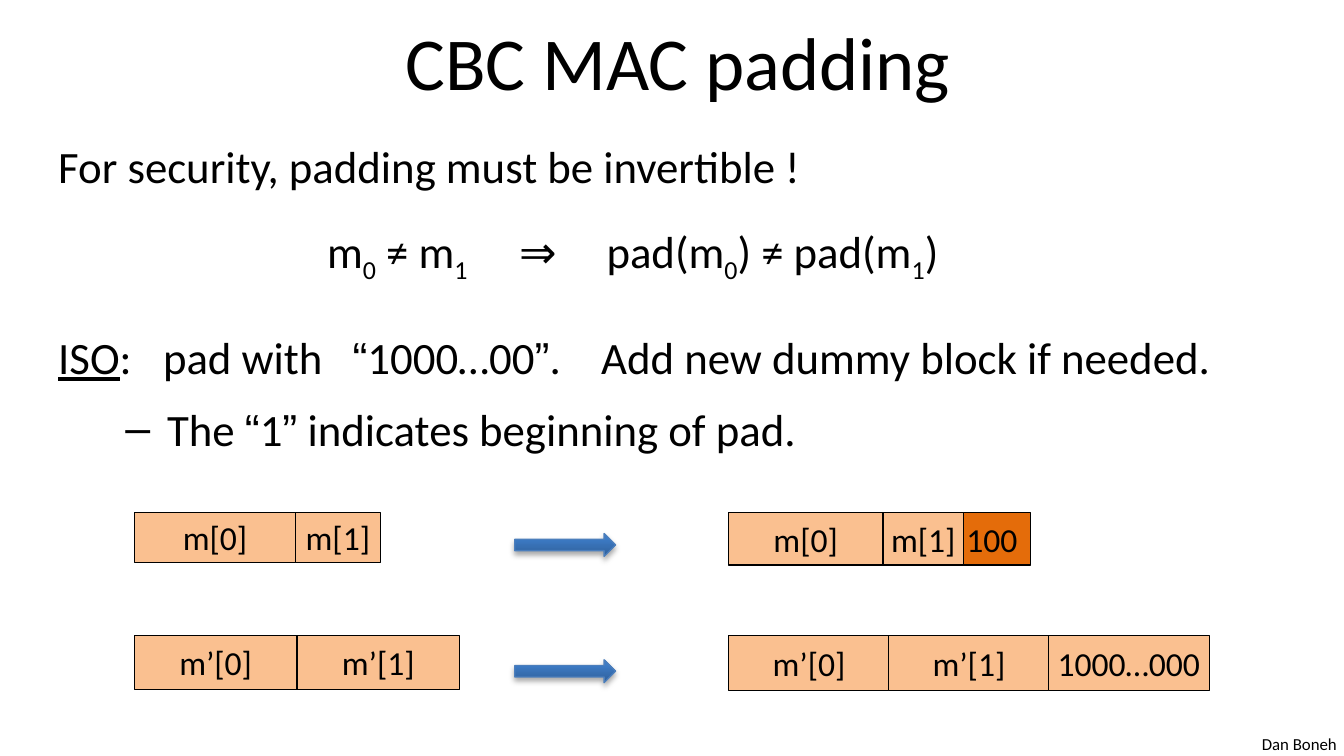
from lxml.etree import SubElement as Sub
from pptx import Presentation
from pptx.dml.color import RGBColor as Rgb
from pptx.enum.shapes import MSO_SHAPE as Form
from pptx.enum.text import MSO_ANCHOR as Anchor, MSO_AUTO_SIZE as Fit, PP_ALIGN as Align
from pptx.oxml.ns import qn
from pptx.util import Inches, Pt

UNIT = 0.1
INK = {"text": "000000", "block": "FAC090", "pad": "E46C0A",
       "low": "2F5F99", "high": "3D7CC7", "edge": "4B7EBC"}


def grid(*cells):
    """Turn columns and rows of the slide grid into lengths."""
    return [Inches(round(n * UNIT, 3)) for n in cells]


def tint(name):
    """Look up a colour by its role."""
    return Rgb.from_string(INK[name])


def write(par, text, size, face="Calibri", base=0, line=None):
    """Add one formatted run to a paragraph."""
    run = par.add_run()
    run.text = text
    font = run.font
    font.size, font.name, font.underline = Pt(size), face, line
    font.color.rgb = tint("text")
    if base:
        run._r.get_or_add_rPr().set("baseline", str(base * 1000))


def quote(par, text):
    """Add text in curly quotes, with the marks in Arial."""
    for part, face in (("“", "Arial"), (text, "Calibri"), ("”", "Arial")):
        write(par, part, 24, face)


def set_tabs(par, stops):
    """Set left tab stops, given in grid columns."""
    tabs = Sub(par._p.get_or_add_pPr(), qn("a:tabLst"))
    for stop in grid(*stops):
        Sub(tabs, qn("a:tab"), pos=str(int(stop)), algn="l")


def add_title(slide, area):
    """Place and format the title."""
    title = slide.shapes.title
    title.left, title.top, title.width, title.height = grid(*area)
    frame = title.text_frame
    frame.auto_size, frame.vertical_anchor = Fit.NONE, Anchor.MIDDLE
    par = frame.paragraphs[0]
    par.alignment = Align.CENTER
    write(par, "CBC MAC padding", 40)


def add_body(slide, area):
    """Write the padding rule, its formula and the ISO scheme."""
    frame = slide.shapes.add_textbox(*grid(*area)).text_frame
    frame.word_wrap = True
    claim = frame.paragraphs[0]
    rule, iso, note = [frame.add_paragraph() for _ in range(3)]
    for par, gap in ((rule, 17), (iso, 24), (note, 9.6)):
        par.space_before = Pt(gap)
    write(claim, "For security, padding must be invertible !", 24)

    set_tabs(rule, (20, 34.3, 40.8))
    for text, sub in (("\tm", "0"), (" ≠ m", "1"), ("\t⇒\tpad(m", "0"), (") ≠ pad(m", "1")):
        write(rule, text, 24)
        write(rule, sub, 24, base=-25)
    write(rule, ")", 24)

    set_tabs(iso, (7.8, 21.9, 40.4))
    write(iso, "ISO", 24, line=True)
    write(iso, ":\tpad with\t", 24)
    quote(iso, "1000…00")
    write(iso, ".\tAdd new dummy block if needed.", 24)

    note.level = 1
    props = note._p.get_or_add_pPr()
    left, hang = grid(8.1, -3.1)
    props.set("marL", str(int(left)))
    props.set("indent", str(int(hang)))
    Sub(props, qn("a:buFont"), typeface="Arial")
    Sub(props, qn("a:buChar"), char="–")
    write(note, "The ", 24)
    quote(note, "1")
    write(note, " indicates beginning of pad.", 24)


def add_strip(slide, area, cells):
    """Draw message blocks along a strip, offset from its left edge."""
    left, top, high = area
    for text, start, wide, fill, side in cells:
        block = slide.shapes.add_shape(Form.RECTANGLE, *grid(left + start, top, wide, high))
        block.shadow.inherit = False
        block.fill.solid()
        block.fill.fore_color.rgb = tint(fill)
        block.line.color.rgb = tint("text")
        block.line.width = Pt(0.75)
        frame = block.text_frame
        frame.word_wrap, frame.vertical_anchor = False, Anchor.MIDDLE
        par = frame.paragraphs[0]
        par.alignment = side
        write(par, text, 18)


def add_arrow(slide, area):
    """Draw a shaded arrow with a soft shadow."""
    arrow = slide.shapes.add_shape(Form.RIGHT_ARROW, *grid(*area))
    arrow.fill.gradient()
    arrow.fill.gradient_angle = 90
    for stop, name, place in zip(arrow.fill.gradient_stops, ("low", "high"), (0, 0.8)):
        stop.color.rgb, stop.position = tint(name), place
    arrow.line.color.rgb = tint("edge")
    arrow.line.width = Pt(0.75)
    arrow.shadow.inherit = False
    glow = Sub(arrow._element.spPr.find(qn("a:effectLst")), qn("a:outerShdw"),
               blurRad=str(int(Pt(3.1))), dist=str(int(Pt(1.8))), dir="5400000", rotWithShape="0")
    shade = Sub(glow, qn("a:srgbClr"), val=INK["text"])
    Sub(shade, qn("a:alpha"), val="35000")


def add_credit(slide, area):
    """Write the author's name in the corner."""
    frame = slide.shapes.add_textbox(*grid(*area)).text_frame
    frame.word_wrap = False
    write(frame.paragraphs[0], "Dan Boneh", 9)


def main():
    """Build and save the slide."""
    deck = Presentation()
    deck.slide_width = Inches(10)
    deck.slide_height = deck.slide_width * 9 // 16
    slide = deck.slides.add_slide(deck.slide_layouts[5])
    mid = Align.CENTER
    add_credit(slide, (92.9, 54.1, 7.6, 2.5))
    add_title(slide, (1.7, -0.2, 97.5, 9.4))
    add_body(slide, (3.35, 9.8, 95, 27.5))
    add_strip(slide, (10, 38.15, 3.7),
              [("m[0]", 0, 12, "block", mid), ("m[1]", 12, 6.3, "block", mid)])
    add_strip(slide, (54.2, 38.15, 3.9),
              [("m[0]", 0, 11.5, "block", mid), ("100", 11.5, 11, "pad", Align.RIGHT),
               ("m[1]", 11.5, 6, "block", mid)])
    add_strip(slide, (10, 47.3, 4),
              [(f"m’[{n}]", 12.1 * n, 12.1, "block", mid) for n in range(2)])
    add_strip(slide, (54.2, 47.3, 4.1),
              [(text, 11.9 * n, 12, "block", mid)
               for n, text in enumerate(("m’[0]", "m’[1]", "1000…000"))])
    for top in (39.7, 49.1):
        add_arrow(slide, (38.3, top, 7.5, 1.7))
    deck.save("out.pptx")


if __name__ == "__main__":
    main()
